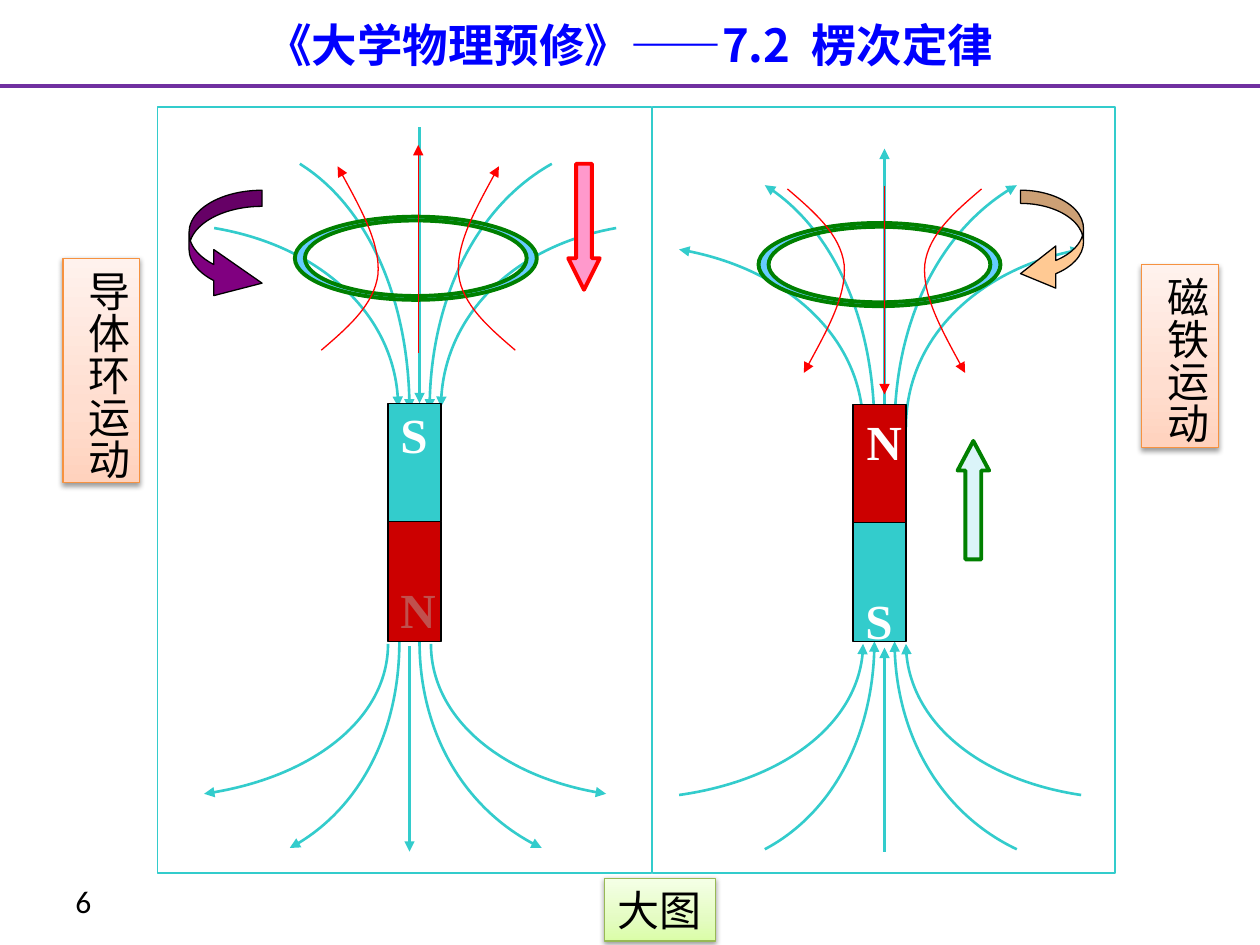
from copy import deepcopy
from typing import NamedTuple, Optional

from lxml import etree
from pptx import Presentation
from pptx.dml.color import RGBColor
from pptx.enum import shapes, text
from pptx.oxml.ns import qn
from pptx.util import Inches, Pt

BLACK, WHITE = RGBColor(0, 0, 0), RGBColor(255, 255, 255)
BLUE, PURPLE = RGBColor(0, 0, 255), RGBColor(0x70, 0x30, 0xA0)
TEAL, CRIMSON = RGBColor(0x33, 0xCC, 0xCC), RGBColor(0xCC, 0, 0)
RED, GREEN = RGBColor(255, 0, 0), RGBColor(0, 0x80, 0)
SKY, BRICK = RGBColor(0x66, 0xCC, 0xFF), RGBColor(0xC0, 0x50, 0x4D)
PINK, ICE = RGBColor(0xFF, 0x99, 0xCC), RGBColor(0xDB, 0xF4, 0xF9)
VIOLET, SAND = RGBColor(0x80, 0, 0x80), RGBColor(0xFF, 0xC9, 0x93)
ORANGE, OLIVE = RGBColor(0xF6, 0x92, 0x40), RGBColor(0x98, 0xB9, 0x55)
PEACHES = [RGBColor.from_string(c) for c in ("FFD2BD", "FFDED0", "FFF2ED")]
LIMES = [RGBColor.from_string(c) for c in ("DAFDA7", "E4FCC2", "F5FFE7")]
CJK, LATIN, SERIF = "Noto Sans CJK SC", "Calibri", "Times New Roman"
SHAPE = shapes.MSO_SHAPE


class Bundle(NamedTuple):
    """Five field lines; heights are for the outer, inner and middle lines."""
    axis: float
    far: tuple[float, float, float]
    near: tuple[float, float, float]
    outward: bool


class Block(NamedTuple):
    kind: SHAPE
    box: tuple[float, float, float, float]
    fill: Optional[RGBColor]
    line: RGBColor
    width: float = 0.75
    adjustments: tuple[float, ...] = ()


class Label(NamedTuple):
    words: str
    box: tuple[float, float, float, float]
    stops: list[RGBColor]
    line: RGBColor
    vertical: bool


class Pole(NamedTuple):
    letter: str
    left: float
    top: float
    color: RGBColor


BUNDLES = [
    Bundle(3.33, (1.81, 1.30, 1.01), (3.23, 3.25, 3.20), False),
    Bundle(3.25, (6.30, 6.73, 6.76), (5.11, 5.09, 5.13), True),
    Bundle(7.02, (1.98, 1.47, 1.18), (3.39, 3.41, 3.35), True),
    Bundle(7.02, (6.31, 6.74, 6.76), (5.11, 5.09, 5.14), False),
]
# far and near distance from the axis, and which heights apply (0 outer, 1 inner)
BRANCHES = [(-1.63, -0.17, 0), (-0.95, -0.08, 1), (1.05, 0.08, 1), (1.56, 0.17, 0)]
BENDS = [(0.58, 0.10, 0.51), (0.61, 0.17, 0.56)]
# distance from the axis and rise of the points of an induced field line
INDUCED = [(0.77, 0), (0.56, 0.18), (0.35, 0.36), (0.32, 0.60),
           (0.30, 0.84), (0.47, 1.15), (0.64, 1.46)]
LEFT_PANEL = Block(SHAPE.RECTANGLE, (1.25, 0.85, 3.92, 6.08), WHITE, TEAL)
BLOCKS = [
    Block(SHAPE.RECTANGLE, (5.18, 0.85, 3.67, 6.08), None, TEAL),
    Block(SHAPE.RECTANGLE, (3.08, 3.20, 0.42, 0.94), TEAL, BLACK),
    Block(SHAPE.RECTANGLE, (3.08, 4.14, 0.42, 0.95), CRIMSON, BLACK),
    Block(SHAPE.RECTANGLE, (6.77, 3.21, 0.42, 0.94), CRIMSON, BLACK),
    Block(SHAPE.RECTANGLE, (6.77, 4.15, 0.42, 0.94), TEAL, BLACK),
    Block(SHAPE.UP_ARROW, (7.60, 3.50, 0.25, 0.94), ICE, GREEN, 2.25, (0.5, 0.94)),
    Block(SHAPE.DOWN_ARROW, (4.51, 1.30, 0.25, 1), PINK, RED, 2.25, (0.5, 1)),
    Block(SHAPE.CURVED_RIGHT_ARROW, (1.50, 1.51, 0.58, 0.92), VIOLET, BLACK,
          0.75, (0.22, 0.63, 0.66)),
    Block(SHAPE.CURVED_LEFT_ARROW, (8.10, 1.51, 0.50, 0.83), SAND, BLACK,
          0.75, (0.21, 0.67, 0.56)),
]
POLES = [Pole("S", 3.08, 3.12, WHITE), Pole("N", 3.08, 4.51, BRICK),
         Pole("N", 6.78, 3.18, WHITE), Pole("S", 6.77, 4.60, WHITE)]
LABELS = [
    Label("导体环运动", (0.50, 2.05, 0.61, 1.78), PEACHES, ORANGE, True),
    Label("磁铁运动", (9.06, 2.10, 0.61, 1.45), PEACHES, ORANGE, True),
    Label("大图", (4.80, 6.97, 0.88, 0.50), LIMES, OLIVE, False),
]


def inches(values) -> list[int]:
    return [Inches(v) for v in values]


def set_line(sp, color: RGBColor, width: float, arrow: str = "") -> None:
    """Format the outline; arrow is headEnd, tailEnd or empty."""
    sp.line.color.rgb = color
    sp.line.width = Pt(width)
    if arrow:
        etree.SubElement(sp.line._get_or_add_ln(), qn(f"a:{arrow}"), type="triangle")


def add_line(s, start, end, color: RGBColor, width: float, arrow: str = "") -> None:
    c = s.shapes.add_connector(shapes.MSO_CONNECTOR.STRAIGHT, *inches(start + end))
    set_line(c, color, width, arrow)
    etree.SubElement(c._element.spPr, qn("a:effectLst"))


def add_curves(s, contours, color: RGBColor, width: float, arrow: str = "", fill=None):
    """Draw cubic curves: each contour is a start point and triples of points."""
    builder = None
    for contour in contours:
        start, *rest = [inches(point) for point in contour]
        if builder is None:
            builder = s.shapes.build_freeform(*start)
        else:
            builder.move_to(*start)
        builder.add_line_segments(rest, close=fill is not None)
    sp = builder.convert_to_shape()
    segments = list(sp._element.iter(qn("a:lnTo")))
    for i in range(0, len(segments), 3):
        cubic = etree.Element(qn("a:cubicBezTo"))
        segments[i].addprevious(cubic)
        for segment in segments[i:i + 3]:
            cubic.append(segment[0])
            segment.getparent().remove(segment)
    sp.shadow.inherit = False
    set_fill(sp, fill)
    set_line(sp, color, width, arrow)


def set_fill(sp, color: Optional[RGBColor]) -> None:
    if color is None:
        sp.fill.background()
    else:
        sp.fill.solid()
        sp.fill.fore_color.rgb = color


def add_bundle(s, b: Bundle) -> None:
    arrow = "headEnd" if b.outward else "tailEnd"
    for far_dx, near_dx, row in BRANCHES:
        bend_x, rise1, rise2 = BENDS[row]
        x0, x1 = b.axis + far_dx, b.axis + near_dx
        y0, y1 = b.far[row], b.near[row]
        curve = [(x0, y0), (x0 + bend_x * (x1 - x0), y0 + rise1 * (y1 - y0)),
                 (x1, y0 + rise2 * (y1 - y0)), (x1, y1)]
        add_curves(s, [curve], TEAL, 1.5, arrow)
    add_line(s, (b.axis, b.far[2]), (b.axis, b.near[2]), TEAL, 1.5, arrow)


def add_induced(s, axis: float, start: float, way: int) -> None:
    """Draw the red induced field; way is -1 for up and 1 for down."""
    y = start - way * 0.02
    add_line(s, (axis, y), (axis, y + way * 1.65), RED, 0.75, "tailEnd")
    for side in (-1, 1):
        curve = [(axis + side * dx, start + way * dy) for dx, dy in INDUCED]
        add_curves(s, [curve], RED, 0.75, "tailEnd")


def ellipse(cx: float, cy: float, rx: float, ry: float) -> list[tuple[float, float]]:
    k = 0.55
    unit = [(-1, 0), (-1, -k), (-k, -1), (0, -1), (k, -1), (1, -k), (1, 0),
            (1, k), (k, 1), (0, 1), (-k, 1), (-1, k), (-1, 0)]
    return [(cx + rx * x, cy + ry * y) for x, y in unit]


def add_ring(s, cx: float, cy: float) -> None:
    hole = ellipse(cx, cy, 0.88, 0.3)[::-1]
    add_curves(s, [ellipse(cx, cy, 0.96, 0.33), hole], GREEN, 2.25, fill=SKY)


def add_block(s, b: Block) -> None:
    sp = s.shapes.add_shape(b.kind, *inches(b.box))
    sp.shadow.inherit = False
    set_fill(sp, b.fill)
    set_line(sp, b.line, b.width)
    for i, value in enumerate(b.adjustments):
        sp.adjustments[i] = value


def write(sp, words: str, size: float, font: str, color: RGBColor, bold=False) -> None:
    tf = sp.text_frame
    tf.text = words
    r = tf.paragraphs[0].runs[0]
    r.font.size, r.font.name, r.font.bold = Pt(size), font, bold
    r.font.color.rgb = color
    etree.SubElement(r._r.get_or_add_rPr(), qn("a:ea"), typeface=font)


def add_label(s, label: Label) -> None:
    sp = s.shapes.add_textbox(*inches(label.box))
    write(sp, label.words, 24, CJK, BLACK)
    sp.text_frame.word_wrap = False
    if label.vertical:
        sp.text_frame._txBody.bodyPr.set("vert", "eaVert")
    sp.fill.gradient()
    sp.fill.gradient_angle = 90
    first = next(sp._element.iter(qn("a:gs")))
    first.addnext(deepcopy(first))
    for stop, color, position in zip(sp.fill.gradient_stops, label.stops, (0, 0.35, 1)):
        stop.color.rgb, stop.position = color, position
    set_line(sp, label.line, 0.75)
    effects = etree.SubElement(sp._element.spPr, qn("a:effectLst"))
    shadow = etree.SubElement(effects, qn("a:outerShdw"), blurRad=str(Pt(3.1)),
                              dist=str(Pt(1.6)), dir="5400000", rotWithShape="0")
    black = etree.SubElement(shadow, qn("a:srgbClr"), val="000000")
    etree.SubElement(black, qn("a:alpha"), val="38000")


def main() -> None:
    prs = Presentation()
    prs.slide_width, prs.slide_height = Inches(10), Inches(7.5)
    s = prs.slides.add_slide(prs.slide_layouts[5])

    title = s.shapes.title
    title.left, title.top, title.width, title.height = inches((0, 0.08, 10, 0.54))
    write(title, "《大学物理预修》——7.2  楞次定律", 26, CJK, BLUE, True)
    title.text_frame.vertical_anchor = text.MSO_ANCHOR.MIDDLE
    title.text_frame.auto_size = text.MSO_AUTO_SIZE.NONE
    add_line(s, (0, 0.68), (10, 0.68), PURPLE, 2.25)
    number = s.shapes.add_textbox(*inches((0.5, 6.95, 2.33, 0.4)))
    write(number, "6", 18, LATIN, BLACK)
    number.text_frame.vertical_anchor = text.MSO_ANCHOR.MIDDLE

    add_block(s, LEFT_PANEL)
    for bundle in BUNDLES:
        add_bundle(s, bundle)
    for block in BLOCKS:
        add_block(s, block)
    for pole in POLES:
        sp = s.shapes.add_textbox(*inches((pole.left, pole.top, 0.48, 0.57)))
        write(sp, pole.letter, 28, SERIF, pole.color, True)
        sp.text_frame.margin_top = Inches(0.09)
        sp.text_frame.word_wrap = False
    add_ring(s, 3.3, 2.05)
    add_ring(s, 6.98, 2.1)
    add_induced(s, 3.32, 2.78, -1)
    add_induced(s, 7.02, 1.5, 1)
    for label in LABELS:
        add_label(s, label)
    prs.save("out.pptx")


if __name__ == "__main__":
    main()
